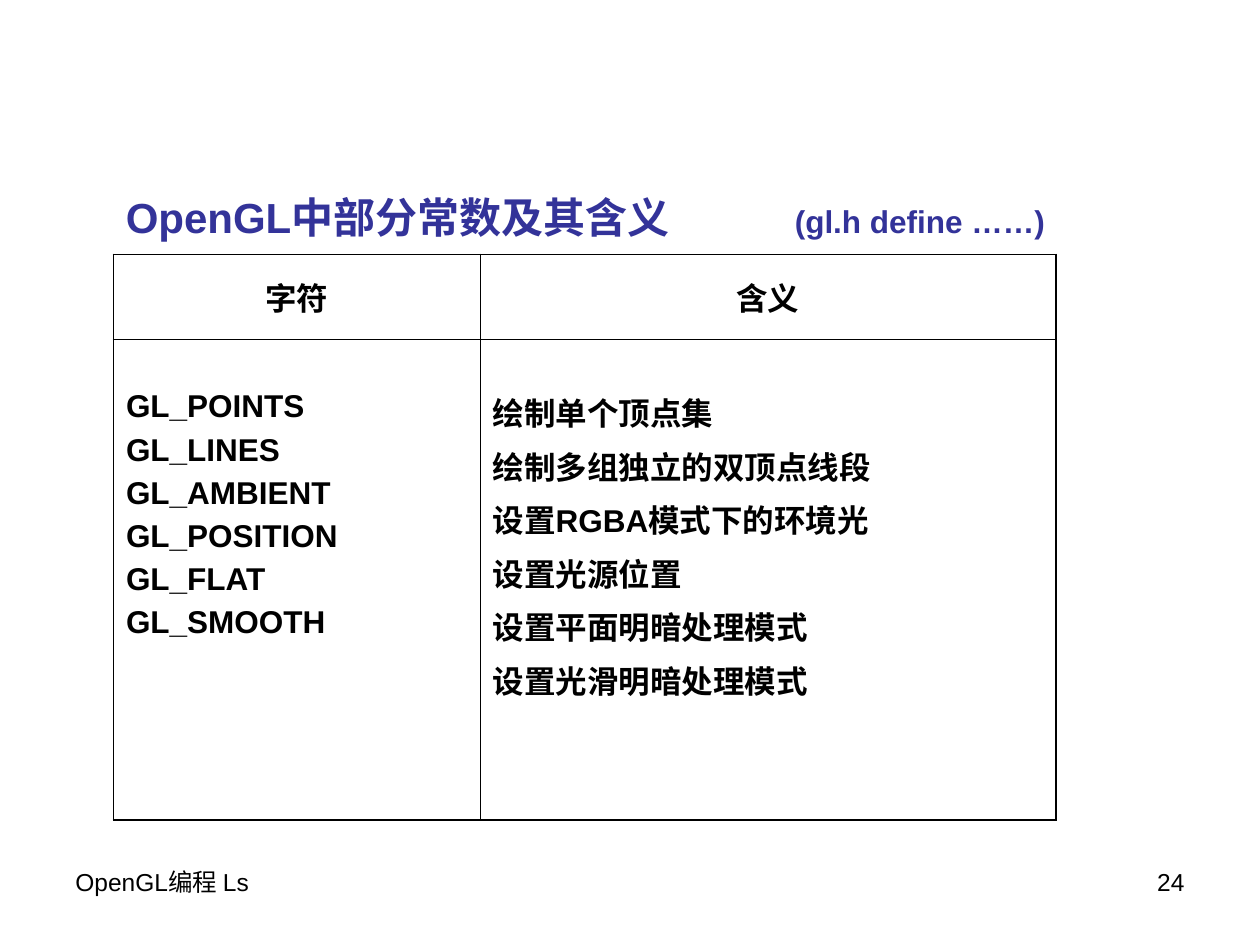
"""Build the slide listing some OpenGL constants and their meanings."""
from lxml.etree import SubElement
from pptx import Presentation
from pptx.dml.color import RGBColor
from pptx.enum.text import MSO_ANCHOR as Anchor, MSO_AUTO_SIZE as AutoSize, PP_ALIGN as Align
from pptx.oxml.ns import qn
from pptx.util import Inches, Pt

COLORS = {"text": "000000", "title": "333399", "border": "000000"}
FONT = "Arial"
OUTER, INNER = 1.08, 0.45
HEADERS = ["字符", "含义"]
CONSTANTS = [
    ("GL_POINTS", "绘制单个顶点集"),
    ("GL_LINES", "绘制多组独立的双顶点线段"),
    ("GL_AMBIENT", "设置RGBA模式下的环境光"),
    ("GL_POSITION", "设置光源位置"),
    ("GL_FLAT", "设置平面明暗处理模式"),
    ("GL_SMOOTH", "设置光滑明暗处理模式"),
]
COLUMN_WIDTHS = [2.91, 4.57]
ROW_HEIGHTS = [0.67, 3.82]


def add_run(paragraph, text, size, color="text", bold=False):
    """Append a formatted run to a paragraph."""
    run = paragraph.add_run()
    run.text = text
    values = {"name": FONT, "size": Pt(size), "bold": bold}
    for name, value in values.items():
        setattr(run.font, name, value)
    run.font.color.rgb = RGBColor.from_string(COLORS[color])


def add_text_box(slide, left, top, width, height, align=Align.LEFT):
    """Add a wrapping text box and return its first paragraph."""
    shape = slide.shapes.add_textbox(*map(Inches, (left, top, width, height)))
    frame = shape.text_frame
    values = {"word_wrap": True, "auto_size": AutoSize.NONE}
    for name, value in values.items():
        setattr(frame, name, value)
    paragraph = frame.paragraphs[0]
    paragraph.alignment = align
    return paragraph


def add_tab_stop(paragraph, position):
    """Give a paragraph one left tab stop, in inches."""
    properties = paragraph._p.get_or_add_pPr()
    tab_list = SubElement(properties, qn("a:tabLst"))
    SubElement(tab_list, qn("a:tab"), pos=str(Inches(position)), algn="l")


def set_borders(cell, widths):
    """Draw the cell borders with the given widths in points."""
    properties = cell._tc.get_or_add_tcPr()
    for side, width in widths.items():
        line = SubElement(properties, qn(f"a:ln{side}"), w=str(Pt(width)))
        fill = SubElement(line, qn("a:solidFill"))
        SubElement(fill, qn("a:srgbClr"), val=COLORS["border"])


def fill_cell(cell, lines, align, anchor, margin_top):
    """Write one paragraph per line into an unfilled cell."""
    cell.fill.background()
    values = {"vertical_anchor": anchor, "margin_top": Inches(margin_top)}
    for name, value in values.items():
        setattr(cell, name, value)
    frame = cell.text_frame
    for index, line in enumerate(lines):
        paragraph = frame.add_paragraph() if index else frame.paragraphs[0]
        paragraph.alignment = align
        paragraph.space_before = Pt(4.5 if index else 0)
        add_run(paragraph, line, 18, bold=True)


def add_constants_table(slide):
    """Add the table with a header row and one tall row of constants."""
    size = sum(COLUMN_WIDTHS), sum(ROW_HEIGHTS)
    frame = slide.shapes.add_table(2, 2, *map(Inches, (0.9, 2.02, *size)))
    table = frame.table
    table.first_row = table.horz_banding = False
    for row, height in zip(table.rows, ROW_HEIGHTS):
        row.height = Inches(height)
    for index, (width, header, entries) in enumerate(
            zip(COLUMN_WIDTHS, HEADERS, zip(*CONSTANTS))):
        table.columns[index].width = Inches(width)
        sides = {"L": INNER if index else OUTER, "R": OUTER if index else INNER}
        head, body = table.cell(0, index), table.cell(1, index)
        set_borders(head, {**sides, "T": OUTER, "B": INNER})
        set_borders(body, {**sides, "T": INNER, "B": OUTER})
        fill_cell(head, [header], Align.CENTER, Anchor.MIDDLE, 0.05)
        fill_cell(body, entries, Align.LEFT, Anchor.TOP, 0.4)


def add_title(slide):
    """Add the title with its header-file remark at a tab stop."""
    paragraph = add_text_box(slide, 0.9, 1.47, 8.82, 0.5)
    add_tab_stop(paragraph, 5.31)
    add_run(paragraph, "OpenGL中部分常数及其含义\t", 24, "title", True)
    add_run(paragraph, "(gl.h define ……)", 18, "title", True)


def add_footer(slide, text, left, align):
    """Add one footer text."""
    add_run(add_text_box(slide, left, 6.83, 2.33, 0.52, align), text, 14)


def main():
    """Build and save the presentation."""
    presentation = Presentation()
    presentation.slide_width, presentation.slide_height = Inches(10), Inches(7.5)
    slide = presentation.slides.add_slide(presentation.slide_layouts[6])
    add_constants_table(slide)
    add_title(slide)
    add_footer(slide, "24", 7.17, Align.RIGHT)
    add_footer(slide, "OpenGL编程 Ls", 0.5, Align.LEFT)
    presentation.save("out.pptx")


if __name__ == "__main__":
    main()
